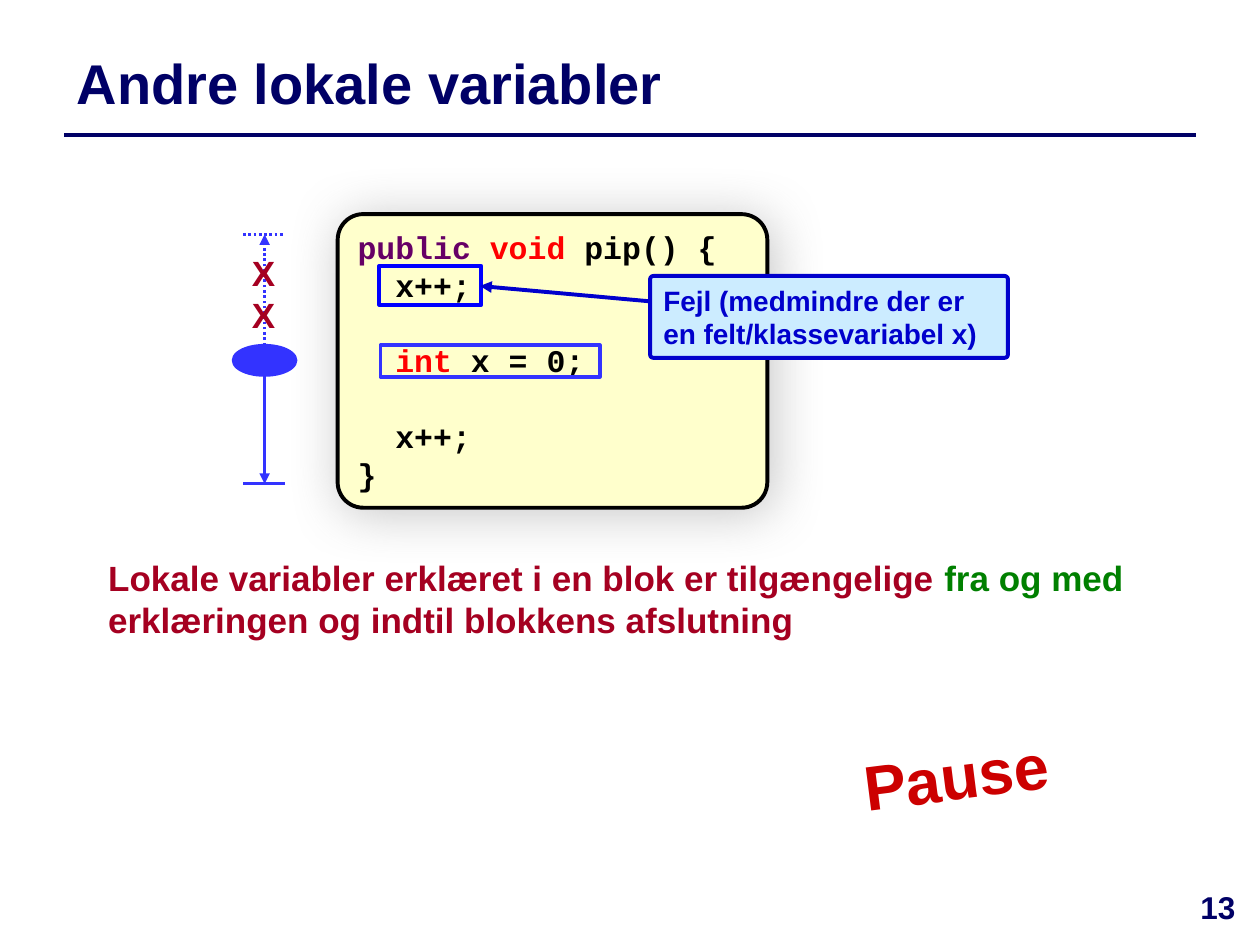
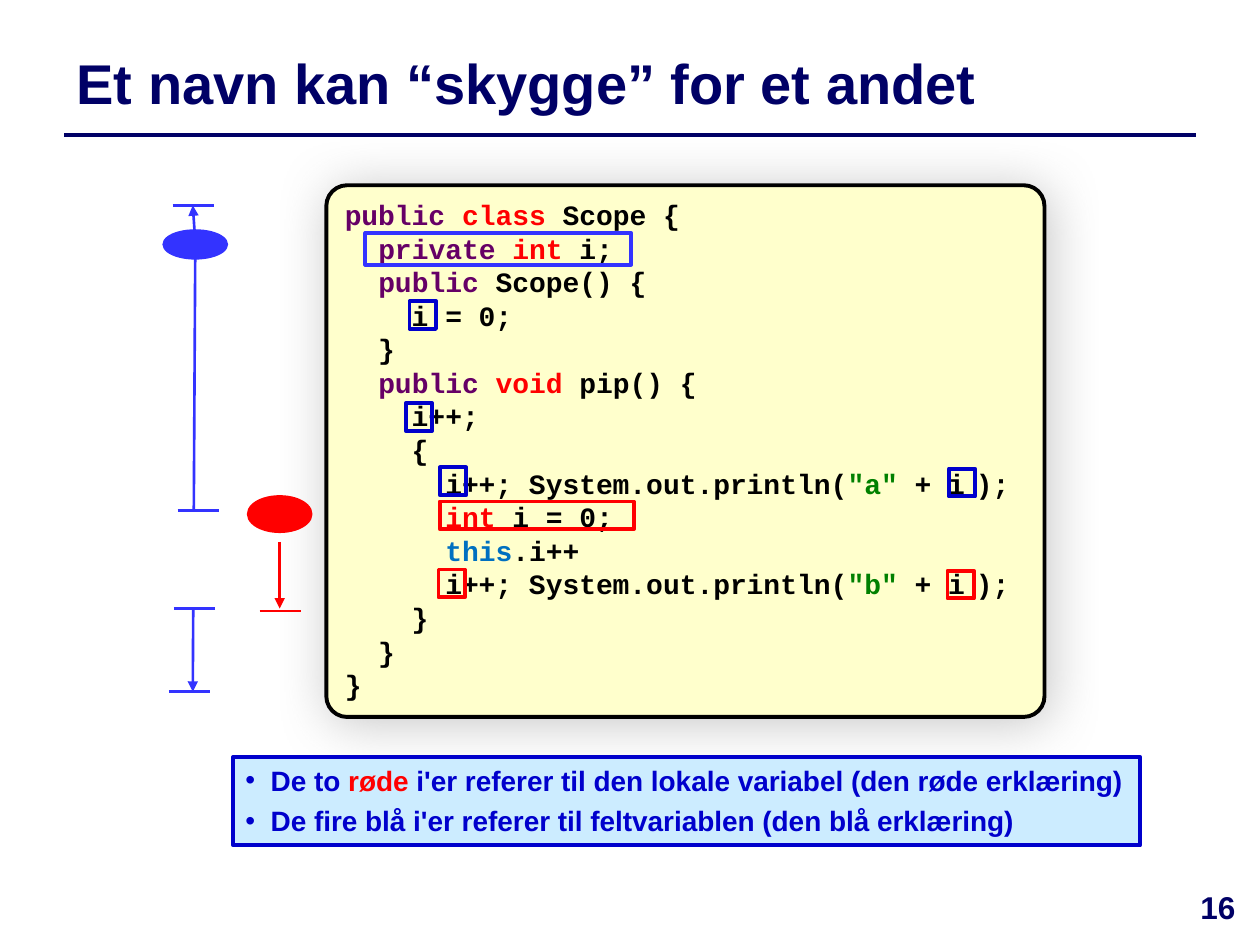
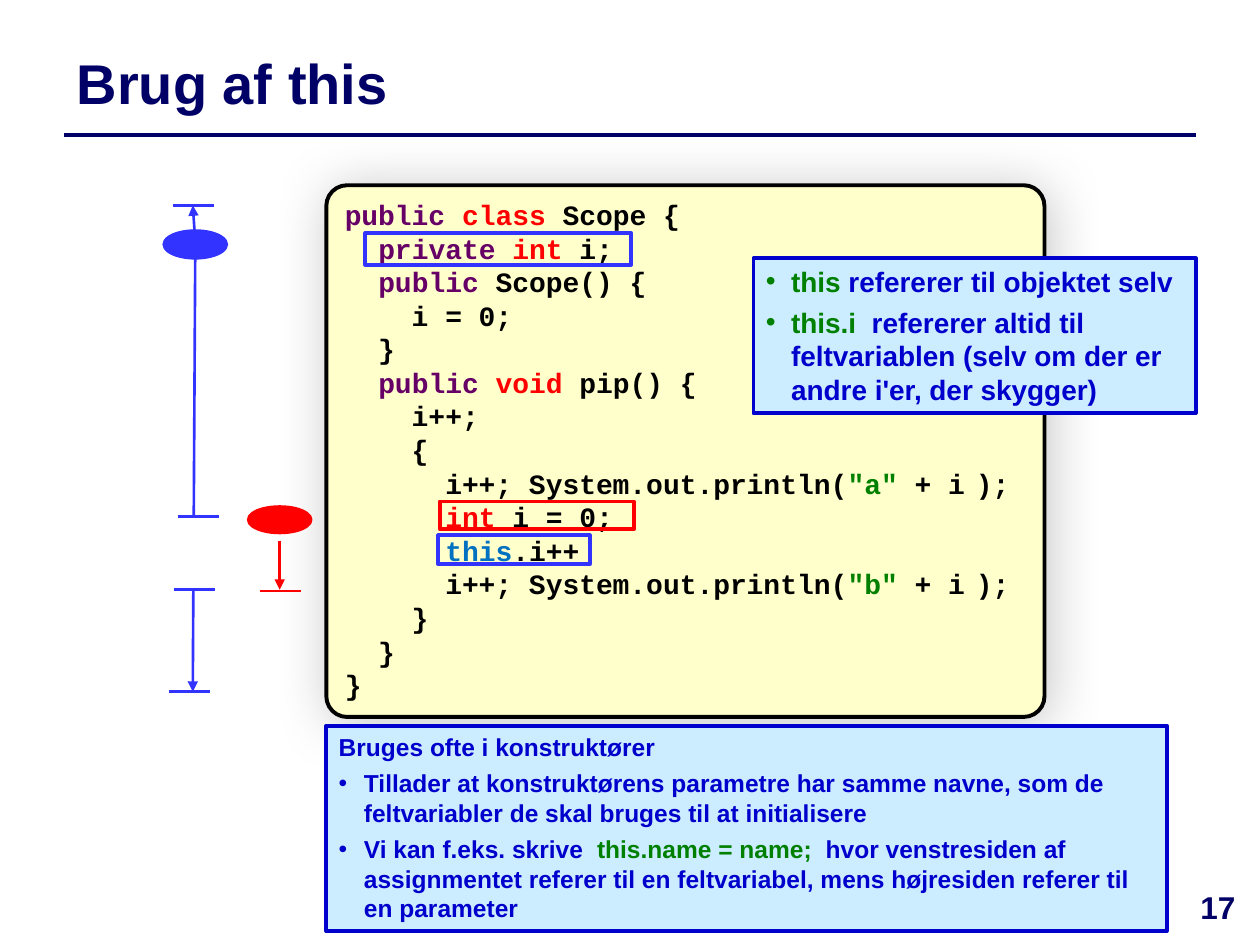
from lxml import etree
from pptx import Presentation
from pptx.dml.color import RGBColor
from pptx.enum.dml import MSO_LINE
from pptx.enum.shapes import MSO_CONNECTOR, MSO_SHAPE
from pptx.enum.text import MSO_ANCHOR, PP_ALIGN
from pptx.oxml import parse_xml
from pptx.oxml.ns import qn
from pptx.util import Inches, Pt

RECT, ROUND, OVAL = MSO_SHAPE.RECTANGLE, MSO_SHAPE.ROUNDED_RECTANGLE, MSO_SHAPE.OVAL
STRAIGHT, DOT = MSO_CONNECTOR.STRAIGHT, MSO_LINE.ROUND_DOT
TOP, MIDDLE = MSO_ANCHOR.TOP, MSO_ANCHOR.MIDDLE
LEFT, CENTER = PP_ALIGN.LEFT, PP_ALIGN.CENTER

NAVY, INK, BLUE, PURE = "000066", "0000CC", "3333FF", "0000FF"
RED, WINE, GREEN, PLUM = "FF0000", "A50021", "008000", "660066"
CYAN, BLACK, WHITE, CREAM, PALE = "0070C0", "000000", "FFFFFF", "FFFFCC", "CCECFF"
SANS, MONO = "Arial", "Courier New"
DRAW = 'xmlns:a="http://schemas.openxmlformats.org/drawingml/2006/main"'
INDENT = 0.2

# Content. A run is a plain string, or (text, colour) or (text, colour, size).
# A paragraph is a list of runs.
PIP = [
    [("public ", PLUM), ("void ", RED), "pip() {"],
    ["  x++;"],
    ["  ", ("int ", RED), "x = 0; "],
    ["  x++;"],
    ["}"],
]
PIP_GAPS = (2, 3)  # lines with one empty line above
THIN = (" ", BLACK, 10.5)
SCOPE = [
    [("public ", PLUM), ("class ", RED), "Scope {"],
    ["  ", ("private ", PLUM), ("int ", RED), "i; "],
    ["  ", ("public ", PLUM), "Scope() { "],
    ["    i = 0; "],
    ["  }"],
    ["  ", ("public ", PLUM), ("void ", RED), "pip() {"],
    ["    i++;"],
    ["    { "],
    ["      i++; System.out.println(", ('"a"', GREEN), " + i", THIN, ");"],
    ["      ", ("int", RED), " i = 0;"],
    ["      ", ("this", CYAN), ".i++"],
    ["      i++; System.out.println(", ('"b" ', GREEN), "+ i", THIN, ");"],
    ["    }"],
    ["  }"],
    ["}"],
]
RULE = [["Lokale variabler erklæret i en blok er tilgængelige ",
         ("fra og med ", GREEN), "erklæringen og indtil blokkens afslutning"]]
ERROR = [["Fejl (medmindre der er en felt/klassevariabel x)"]]
SHADE = [
    ["De to ", ("røde", RED),
     " i'er referer til den lokale variabel (den røde erklæring)"],
    ["De fire blå i'er referer til feltvariablen (den blå erklæring)"],
]
THIS = [
    [("this ", GREEN), "refererer til objektet selv"],
    [("this.i", GREEN),
     "  refererer altid til feltvariablen (selv om der er andre i'er, der skygger)"],
]
USES = [
    ["Bruges ofte i konstruktører"],
    ["Tillader at konstruktørens parametre har samme navne, som de "
     "feltvariabler de skal bruges til at initialisere"],
    ["Vi kan f.eks. skrive  ", ("this.name = name; ", GREEN),
     " hvor venstresiden af assignmentet referer til en feltvariabel, "
     "mens højresiden referer til en parameter"],
]
# Left, top and colour of the frames round each single i
MARKS = [(3.48, 4.52, RED), (7.52, 4.53, RED), (3.49, 3.71, INK),
         (7.53, 3.72, INK), (3.22, 3.2, INK), (3.25, 2.39, INK)]


def rgb(code):
    """Turn a hex string into a colour."""
    return RGBColor.from_string(code)


def write(shape, paras, size, color, font=SANS, align=LEFT, anchor=TOP):
    """Fill a shape with paragraphs, run by run."""
    frame = shape.text_frame
    frame.word_wrap = True
    frame.vertical_anchor = anchor
    for n, runs in enumerate(paras):
        para = frame.add_paragraph() if n else frame.paragraphs[0]
        para.alignment = align
        for item in runs:
            part = (item,) if isinstance(item, str) else item
            text, tint, points = part + (color, size)[len(part) - 1:]
            run = para.add_run()
            run.text = text
            run.font.name, run.font.bold = font, True
            run.font.size = Pt(points)
            run.font.color.rgb = rgb(tint)
    return frame


def label(slide, box, paras, size, color, **style):
    """Add a text box."""
    shape = slide.shapes.add_textbox(*map(Inches, box))
    write(shape, paras, size, color, **style)
    return shape


def block(slide, kind, box, fill=None, line=None, width=2.25):
    """Add a preset shape without a shadow."""
    shape = slide.shapes.add_shape(kind, *map(Inches, box))
    shape.shadow.inherit = False
    if fill:
        shape.fill.solid()
        shape.fill.fore_color.rgb = rgb(fill)
    else:
        shape.fill.background()
    if line:
        shape.line.color.rgb = rgb(line)
        shape.line.width = Pt(width)
    else:
        shape.line.fill.background()
    return shape


def stroke(slide, start, end, color, width=1.5, arrow=False, dash=None):
    """Draw a straight line, with an arrowhead at its end if asked."""
    line = slide.shapes.add_connector(STRAIGHT, *map(Inches, start + end))
    line.line.color.rgb = rgb(color)
    line.line.width = Pt(width)
    if dash:
        line.line.dash_style = dash
    props = line._element.spPr
    if arrow:
        etree.SubElement(props.find(qn("a:ln")), qn("a:tailEnd"), type="triangle")
    etree.SubElement(props, qn("a:effectLst"))


def cap(slide, left, y, color, dash=None):
    """Draw the short bar that ends a range."""
    stroke(slide, (left, y), (left + 0.33, y), color, dash=dash)


def code(slide, box, round_by, lines, size):
    """Add a code panel with a soft shadow."""
    shape = block(slide, ROUND, box, CREAM, BLACK)
    shape.adjustments[0] = round_by
    glow = parse_xml(
        f'<a:outerShdw {DRAW} blurRad="{Pt(30)}" dist="{Pt(3)}" dir="2700000" '
        'algn="ctr" rotWithShape="0"><a:srgbClr val="808080">'
        '<a:alpha val="43000"/></a:srgbClr></a:outerShdw>')
    shape._element.spPr.find(qn("a:effectLst")).append(glow)
    return write(shape, lines, size, BLACK, MONO)


def note(slide, box, paras, size, plain=0):
    """Add a pale note; paragraphs after the plain ones get bullets."""
    shape = block(slide, RECT, box, PALE, INK)
    frame = write(shape, paras, size, INK)
    for n, para in enumerate(frame.paragraphs):
        para.space_before = Pt(4)
        if n >= plain:
            props = para._p.get_or_add_pPr()
            props.set("marL", str(Inches(INDENT)))
            props.set("indent", str(-Inches(INDENT)))
            etree.SubElement(props, qn("a:buFont"), typeface=SANS)
            etree.SubElement(props, qn("a:buChar"), char="•")


def page(deck, title, number):
    """Start a slide with its title, rule and number."""
    slide = deck.slides.add_slide(deck.slide_layouts[6])
    stroke(slide, (0.51, 1.07), (9.49, 1.07), NAVY, 2)
    label(slide, (0.51, 0.28, 8.98, 0.75), [[title]], 32, NAVY, anchor=MIDDLE)
    label(slide, (9.31, 7, 0.71, 0.5), [[str(number)]], 18, NAVY, align=CENTER)
    return slide


def scope(slide, oval, arrow, low, hide):
    """Draw the Scope class and the ranges of its two variables.

    oval and hide are (top, height), arrow is (start, end), low ends the red range.
    """
    code(slide, (2.59, 1.47, 5.7, 4.22), 0.039, SCOPE, 16)
    block(slide, RECT, (3.49, 3.98, 1.54, 0.22), line=RED)
    block(slide, RECT, (2.9, 1.85, 2.11, 0.25), line=BLUE)
    block(slide, OVAL, (1.3, 1.83, 0.5, 0.22), BLUE, BLUE, 1.5)
    for left, y in ((1.34, 5.49), (1.37, 1.63)):
        stroke(slide, (1.55, 1.92), (1.53, y), BLUE, arrow=True)
        cap(slide, left, y, BLUE)
    block(slide, OVAL, (1.97, oval[0], 0.5, oval[1]), RED, RED, 1.5)
    stroke(slide, (2.22, arrow[0]), (2.22, arrow[1]), RED, arrow=True)
    cap(slide, 2.06, low, RED)
    top, tall = hide
    block(slide, RECT, (1.3, top, 0.5, tall), WHITE)
    cap(slide, 1.38, top + tall, BLUE)
    cap(slide, 1.41, top, BLUE)


def local(deck):
    """Build the slide on local variables."""
    slide = page(deck, "Andre lokale variabler", 13)
    label(slide, (0.76, 4.37, 8.81, 0.77), RULE, 20, WINE)
    frame = code(slide, (2.68, 1.7, 3.41, 2.33), 0.087, PIP, 18)
    for n in PIP_GAPS:
        frame.paragraphs[n].space_before = Pt(21.6)
    block(slide, RECT, (3.02, 2.74, 1.74, 0.25), line=BLUE)
    block(slide, RECT, (3.01, 2.11, 0.81, 0.31), line=PURE)
    stroke(slide, (5.47, 2.42), (3.81, 2.27), INK, 2.25, arrow=True)
    block(slide, OVAL, (1.85, 2.74, 0.5, 0.24), BLUE, BLUE, 1.5)
    for start, end, dash in ((2.98, 3.84, None), (2.74, 1.86, DOT)):
        stroke(slide, (2.1, start), (2.1, end), BLUE, arrow=True, dash=dash)
        cap(slide, 1.93, end, BLUE, dash)
    label(slide, (1.9, 1.95, 0.39, 0.77), [["X"], ["X"]], 20, WINE)
    pause = label(slide, (6.23, 5.8, 2.72, 0.71), [["Pause"]], 36, "CC0000",
                  align=CENTER)
    pause.rotation = 352.8
    error = block(slide, ROUND, (5.16, 2.19, 2.84, 0.65), PALE, INK)
    error.adjustments[0] = 0.039
    write(error, ERROR, 16, INK)


def shadow(deck):
    """Build the slide on names that hide others."""
    slide = page(deck, "Et navn kan “skygge” for et andet", 16)
    scope(slide, (3.94, 0.28), (4.3, 4.83), 4.85, (4.05, 0.78))
    note(slide, (1.85, 6.01, 7.2, 0.7), SHADE, 16)
    for left, top, color in MARKS:
        block(slide, RECT, (left, top, 0.21, 0.22), line=color)


def usage(deck):
    """Build the slide on the use of this."""
    slide = page(deck, "Brug af this", 17)
    scope(slide, (4.02, 0.21), (4.29, 4.68), 4.69, (4.1, 0.58))
    note(slide, (5.98, 2.05, 3.51, 1.23), THIS, 16)
    note(slide, (2.59, 5.76, 6.67, 1.63), USES, 14, plain=1)
    block(slide, RECT, (3.48, 4.25, 1.2, 0.23), line=BLUE)


deck = Presentation()
deck.slide_width, deck.slide_height = Inches(10), Inches(7.5)
for build in (local, shadow, usage):
    build(deck)
deck.save("out.pptx")
